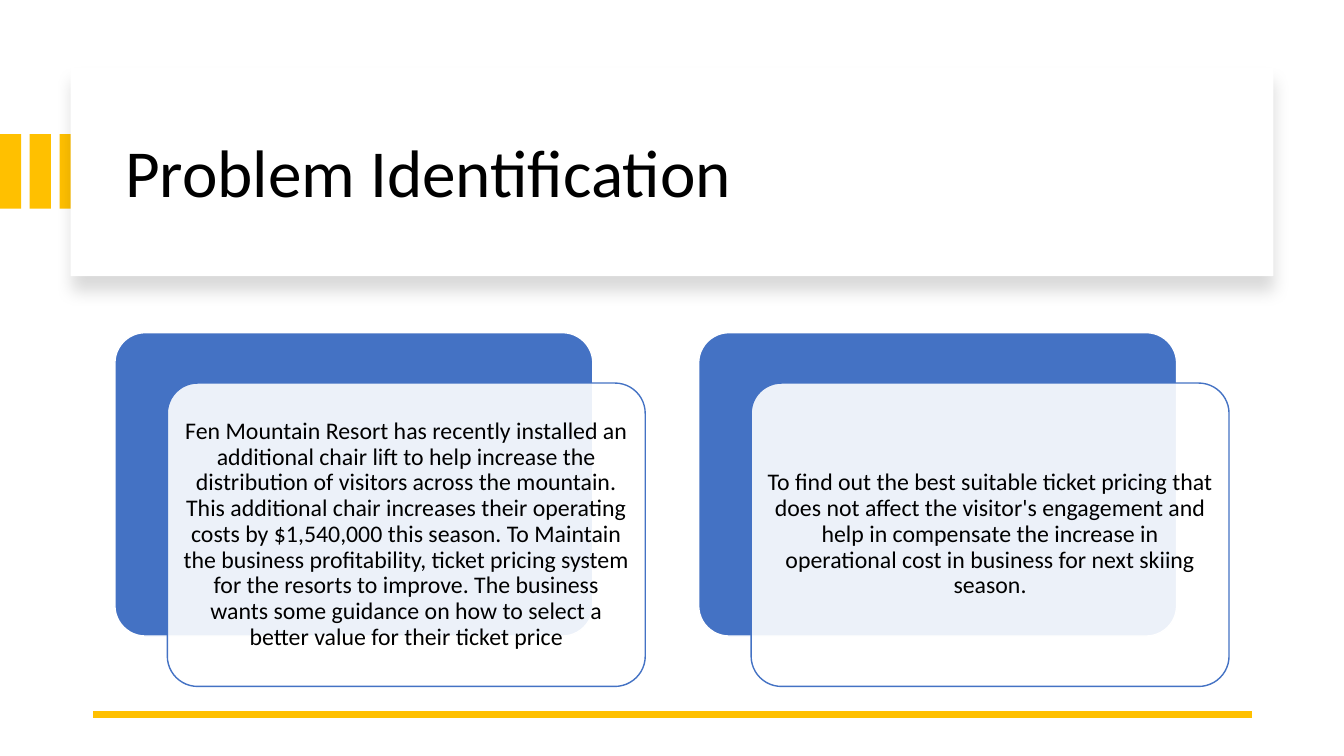
from pptx import Presentation
from pptx.dml.color import RGBColor
from pptx.enum.shapes import MSO_CONNECTOR, MSO_SHAPE
from pptx.enum.text import MSO_ANCHOR, MSO_AUTO_SIZE, PP_ALIGN
from pptx.oxml.ns import qn
from pptx.util import Inches, Pt
from lxml.etree import SubElement

GOLD, BLUE, WHITE, BLACK = "FFC000", "4472C4", "FFFFFF", "000000"
CARDS = [
    "Fen Mountain Resort has recently installed an additional chair lift to help "
    "increase the distribution of visitors across the mountain. This additional chair "
    "increases their operating costs by $1,540,000 this season. To Maintain the business "
    "profitability, ticket pricing system for the resorts to improve. The business wants "
    "some guidance on how to select a better value for their ticket price",
    "To find out the best suitable ticket pricing that does not affect the visitor's "
    "engagement and help in compensate the increase in operational cost in business for "
    "next skiing season.",
]


def set_color(target, color):
    target.rgb = RGBColor.from_string(color)


def place(sp, x, y, w, h):
    sp.left, sp.top, sp.width, sp.height = Inches(x), Inches(y), Inches(w), Inches(h)


def add_block(s, kind, x, y, w, h, fill, line=None):
    sp = s.shapes.add_shape(kind, Inches(x), Inches(y), Inches(w), Inches(h))
    sp.shadow.inherit = False
    sp.fill.solid()
    set_color(sp.fill.fore_color, fill)
    if line:
        set_color(sp.line.color, line)
        sp.line.width = Pt(1)
    else:
        sp.line.fill.background()
    return sp


def write(tf, text, size):
    tf.word_wrap = True
    tf.auto_size = MSO_AUTO_SIZE.NONE
    tf.vertical_anchor = MSO_ANCHOR.MIDDLE
    p = tf.paragraphs[0]
    p.line_spacing = 0.9
    r = p.add_run()
    r.text = text
    r.font.name = "Calibri"
    r.font.size = Pt(size)
    set_color(r.font.color, BLACK)
    return p


def add_shadow(sp):
    effects = sp._element.spPr.find(qn("a:effectLst"))
    shadow = SubElement(effects, qn("a:outerShdw"), blurRad=str(Pt(11)),
                        dist=str(Pt(10)), dir="5400000", algn="t", rotWithShape="0")
    color = SubElement(shadow, qn("a:srgbClr"), val=BLACK)
    SubElement(color, qn("a:alpha"), val="15000")


def add_header(s, x, y, w, h):
    for i in range(3):
        add_block(s, MSO_SHAPE.RECTANGLE, i * 0.295, y + 0.66, 0.21, 0.74, GOLD)
    add_shadow(add_block(s, MSO_SHAPE.RECTANGLE, x, y, w, h, WHITE))
    title = s.shapes.title
    s.shapes._spTree.append(title._element)
    place(title, x + 0.44, y + 0.22, w - 0.8, h - 0.37)
    write(title.text_frame, "Problem Identification", 48).alignment = PP_ALIGN.LEFT


def add_rule(s, x, y, w):
    line = s.shapes.add_connector(MSO_CONNECTOR.STRAIGHT, Inches(x + w), Inches(y),
                                  Inches(x), Inches(y))
    set_color(line.line.color, GOLD)
    line.line.width = Pt(4.5)
    SubElement(line._element.spPr, qn("a:effectLst"))


def add_card(s, x, y, w, h, text):
    back = add_block(s, MSO_SHAPE.ROUNDED_RECTANGLE, x, y, w, h, BLUE, WHITE)
    x, y = x + 0.52, y + 0.5
    front = add_block(s, MSO_SHAPE.ROUNDED_RECTANGLE, x, y, w, h, WHITE, BLUE)
    for sp in (back, front):
        sp.adjustments[0] = 0.1
    color = front._element.spPr.find(qn("a:solidFill"))[0]
    SubElement(color, qn("a:alpha"), val="90000")
    pad = 0.09
    tf = s.shapes.add_textbox(Inches(x + pad), Inches(y + pad),
                              Inches(w - 2 * pad), Inches(h - 2 * pad)).text_frame
    tf.margin_left = tf.margin_right = tf.margin_top = tf.margin_bottom = Inches(0.07)
    write(tf, text, 17).alignment = PP_ALIGN.CENTER


prs = Presentation()
prs.slide_width, prs.slide_height = Inches(13.33), Inches(7.5)
s = prs.slides.add_slide(prs.slide_layouts[5])
add_header(s, 0.7, 0.67, 11.93, 2.07)
add_rule(s, 0.92, 7.09, 11.5)
for i, text in enumerate(CARDS):
    add_card(s, 1.14 + i * 5.79, 3.3, 4.74, 3.01, text)
prs.save("out.pptx")
